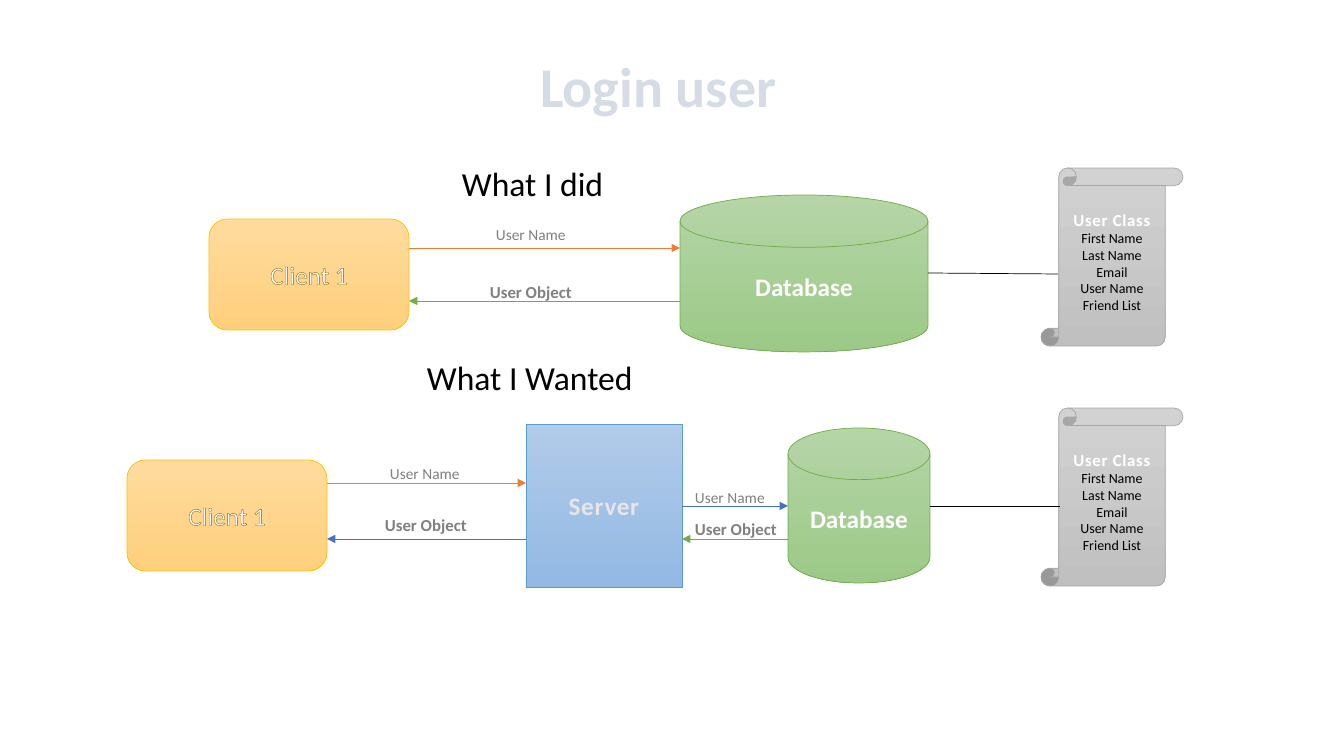
from dataclasses import dataclass

from lxml import etree
from pptx import Presentation
from pptx.dml.color import RGBColor
from pptx.enum import shapes, text
from pptx.oxml import parse_xml
from pptx.oxml.ns import nsdecls, qn
from pptx.util import Emu, Pt

EMU_PER_PX = 914400 / 100.8
SHAPE = shapes.MSO_SHAPE


@dataclass(frozen=True)
class Theme:
    font: str = "Calibri"
    # Gradient top, gradient bottom, outline
    client: tuple = ("FFDB9E", "FFD07C", "FFC000")
    database: tuple = ("B5D5A7", "9CC987", "70AD47")
    server: tuple = ("B1CBE9", "93B9E4", "5B9BD5")
    scroll: tuple = ("D2D2D2", "C0C0C0", "A5A5A5")
    title: str = "D6DCE5"
    white: str = "FFFFFF"
    pale: str = "E7E6E6"
    black: str = "000000"
    grey: str = "808080"
    client_edge: str = "806000"
    orange: str = "ED7D31"
    green: str = "70AD47"
    blue: str = "4472C4"
    title_pt: int = 40
    heading_pt: int = 24
    node_pt: int = 18
    strong_pt: int = 12
    label_pt: int = 11
    field_pt: int = 10
    line_pt: float = 0.5


def px(n):
    return Emu(round(n * EMU_PER_PX))


class Diagram:
    def __init__(self, prs, theme):
        self.theme = theme
        self.s = prs.slides.add_slide(prs.slide_layouts[5])

    def set_text(self, p, words, size, color, bold=False, align=text.PP_ALIGN.LEFT,
                 spacing=0, edge=None):
        """Fill a paragraph with one run in one style."""
        r = p.add_run()
        r.text = words
        p.alignment = align
        p.font.name, p.font.size, p.font.bold = self.theme.font, Pt(size), bold
        p.font.color.rgb = RGBColor.from_string(color)
        if spacing:
            r.font._element.set("spc", str(spacing))
        if edge:
            r.font._element.insert(0, parse_xml(
                f'<a:ln {nsdecls("a")} w="9525"><a:solidFill>'
                f'<a:srgbClr val="{edge}"/></a:solidFill></a:ln>'))

    def title(self, words, x, y, w, h):
        sp = self.s.shapes.title
        sp.left, sp.top, sp.width, sp.height = map(px, (x, y, w, h))
        tf = sp.text_frame
        tf.vertical_anchor = text.MSO_ANCHOR.TOP
        tf.auto_size = text.MSO_AUTO_SIZE.NONE
        self.set_text(tf.paragraphs[0], words, self.theme.title_pt, self.theme.title, True)

    def label(self, words, x, y, w, h, size, color, bold=False):
        tf = self.s.shapes.add_textbox(*map(px, (x, y, w, h))).text_frame
        tf.word_wrap = False
        tf.auto_size = text.MSO_AUTO_SIZE.SHAPE_TO_FIT_TEXT
        self.set_text(tf.paragraphs[0], words, size, color, bold)

    def heading(self, words, x, y, w):
        self.label(words, x, y, w, 50, self.theme.heading_pt, self.theme.black)

    def request_label(self, x, y):
        self.label("User Name", x, y, 91, 29, self.theme.label_pt, self.theme.grey)

    def reply_label(self, x, y):
        self.label("User Object", x, y, 103, 30, self.theme.strong_pt, self.theme.grey, True)

    def node(self, kind, x, y, w, h, colors, lines):
        """Add a gradient shape; each line is (words, size, color, style)."""
        top, bottom, outline = colors
        sp = self.s.shapes.add_shape(kind, *map(px, (x, y, w, h)))
        sp.shadow.inherit = False
        sp.fill.gradient()
        sp.fill.gradient_angle = 270
        for stop, color in zip(sp.fill.gradient_stops, (top, bottom)):
            stop.color.rgb = RGBColor.from_string(color)
        sp.line.color.rgb = RGBColor.from_string(outline)
        sp.line.width = Pt(self.theme.line_pt)
        tf = sp.text_frame
        tf.word_wrap = True
        tf.vertical_anchor = text.MSO_ANCHOR.MIDDLE
        for i, (words, size, color, style) in enumerate(lines):
            p = tf.add_paragraph() if i else tf.paragraphs[0]
            self.set_text(p, words, size, color, align=text.PP_ALIGN.CENTER, **style)

    def client(self, x, y):
        t = self.theme
        self.node(SHAPE.ROUNDED_RECTANGLE, x, y, 200, 111, t.client,
                  [("Client 1", t.node_pt, t.white, {"edge": t.client_edge})])

    def database(self, x, y, w, h):
        t = self.theme
        self.node(SHAPE.FLOWCHART_MAGNETIC_DISK, x, y, w, h, t.database,
                  [("Database", t.node_pt, t.white, {"bold": True})])

    def server(self, x, y, w, h):
        t = self.theme
        self.node(SHAPE.RECTANGLE, x, y, w, h, t.server,
                  [("Server", t.node_pt, t.pale, {"bold": True, "spacing": 50})])

    def user_class(self, x, y):
        t = self.theme
        fields = ("First Name", "Last Name", "Email", "User Name", "Friend List")
        self.node(SHAPE.VERTICAL_SCROLL, x, y, 142, 178, t.scroll,
                  [("User Class", t.strong_pt, t.white, {"bold": True, "spacing": 50})]
                  + [(field, t.field_pt, t.black, {}) for field in fields])

    def line(self, x1, y1, x2, y2, color, arrow=True):
        c = self.s.shapes.add_connector(shapes.MSO_CONNECTOR.STRAIGHT,
                                        *map(px, (x1, y1, x2, y2)))
        c.line.color.rgb = RGBColor.from_string(color)
        c.line.width = Pt(self.theme.line_pt)
        sp_pr = c._element.spPr
        if arrow:
            etree.SubElement(sp_pr.find(qn("a:ln")), qn("a:tailEnd"), type="triangle")
        etree.SubElement(sp_pr, qn("a:effectLst"))


prs = Presentation()
prs.slide_width, prs.slide_height = px(1344), px(756)
theme = Theme()
d = Diagram(prs, theme)
d.title("Login user", 530, 46, 337, 78)

# Upper flow: client talks straight to the database
d.heading("What I did", 452, 158, 163)
d.client(209, 219)
d.database(680, 195, 248, 157)
d.user_class(1041, 168)
d.line(409, 248, 680, 248, theme.orange)
d.request_label(486, 220)
d.line(680, 301, 409, 301, theme.green)
d.reply_label(480, 277)
d.line(928, 273, 1058, 274, theme.black, arrow=False)

# Lower flow: a server sits between client and database
d.heading("What I Wanted", 417, 352, 228)
d.client(127, 460)
d.server(526, 424, 156, 163)
d.database(788, 428, 142, 155)
d.user_class(1041, 408)
d.line(327, 483, 526, 483, theme.orange)
d.request_label(380, 459)
d.line(526, 539, 327, 539, theme.blue)
d.reply_label(375, 510)
d.line(682, 506, 788, 506, theme.blue)
d.request_label(685, 483)
d.line(788, 539, 682, 539, theme.green)
d.reply_label(685, 514)
d.line(930, 506, 1060, 506, theme.black, arrow=False)

prs.save("out.pptx")
